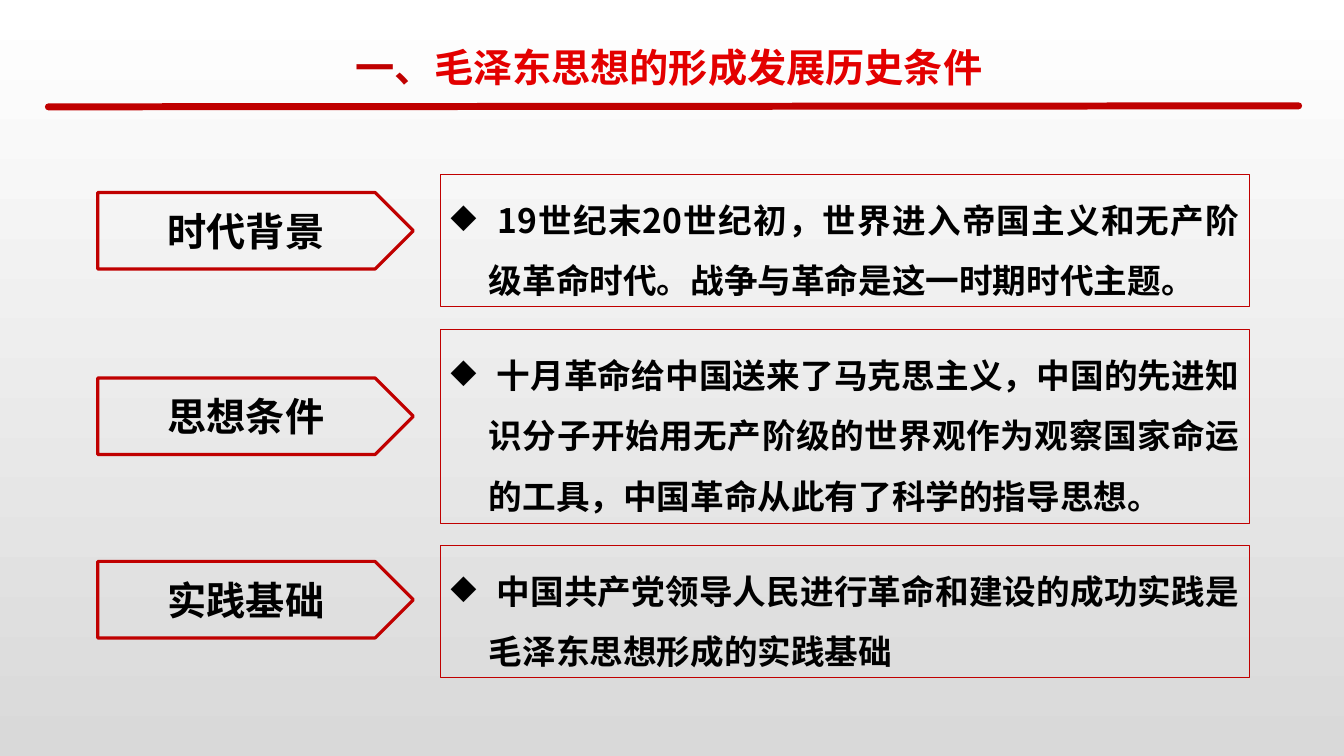
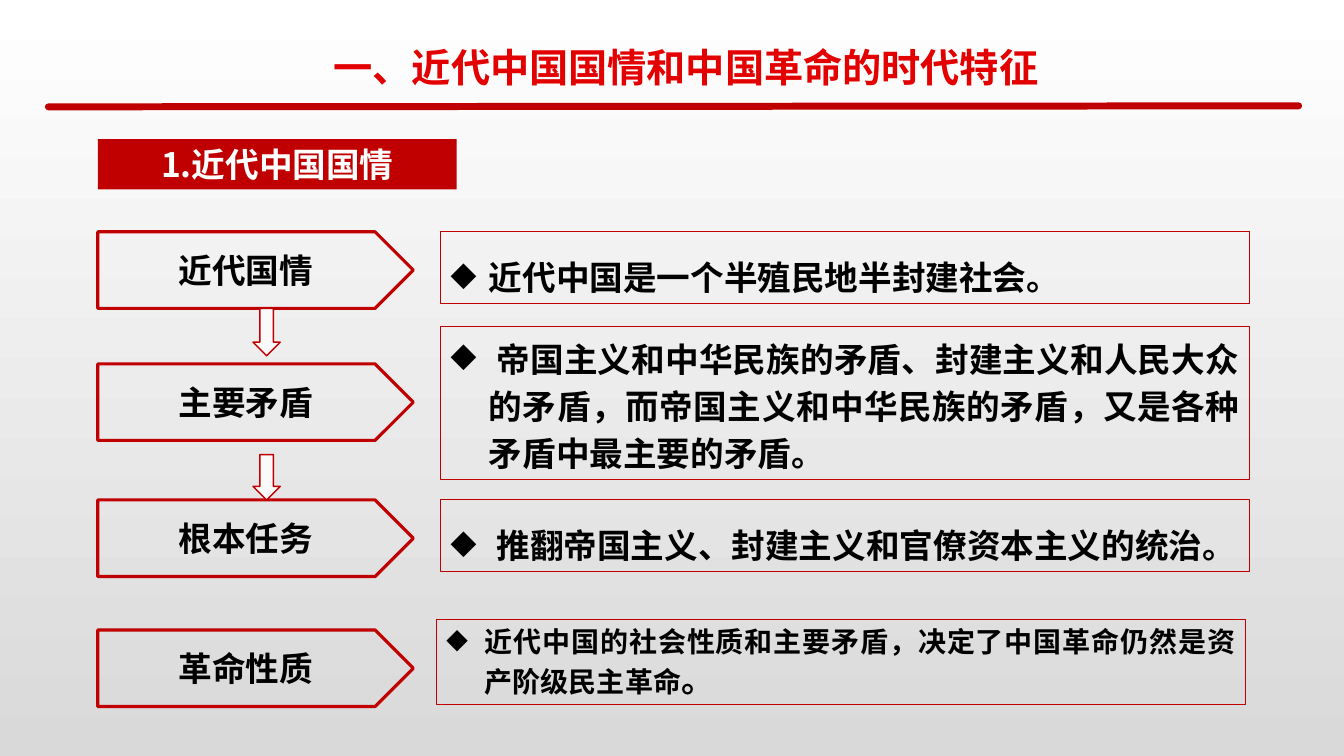
from lxml import etree
from pptx import Presentation
from pptx.dml.color import RGBColor
from pptx.enum.shapes import MSO_CONNECTOR, MSO_SHAPE
from pptx.enum.text import MSO_ANCHOR, PP_ALIGN
from pptx.oxml.ns import qn
from pptx.util import Inches, Pt

RECTANGLE, PENTAGON, DOWN_ARROW = MSO_SHAPE.RECTANGLE, MSO_SHAPE.PENTAGON, MSO_SHAPE.DOWN_ARROW
STRAIGHT = MSO_CONNECTOR.STRAIGHT
TOP, MIDDLE = MSO_ANCHOR.TOP, MSO_ANCHOR.MIDDLE
LEFT, CENTER, JUSTIFY = PP_ALIGN.LEFT, PP_ALIGN.CENTER, PP_ALIGN.JUSTIFY

RED = RGBColor(0xC0, 0x00, 0x00)
TITLE_RED = RGBColor(0xE3, 0x00, 0x00)
BLACK = RGBColor(0x00, 0x00, 0x00)
WHITE = RGBColor(0xFF, 0xFF, 0xFF)
OFF_WHITE = RGBColor(0xFA, 0xFA, 0xFA)
GRAY = RGBColor(0xD9, 0xD9, 0xD9)
FONT = "Noto Sans CJK SC"

LABEL_LEFT, LABEL_WIDTH, LABEL_HEIGHT = 0.97, 3.13, 0.76
DETAIL_LEFT, DETAIL_WIDTH = 4.37, 8.02
HANG = Inches(0.38)


def write(shape, runs, align, anchor):
    frame = shape.text_frame
    frame.word_wrap = True
    frame.vertical_anchor = anchor
    paragraph = frame.paragraphs[0]
    paragraph.alignment = align
    for text, size, color in runs:
        run = paragraph.add_run()
        run.text = text
        run.font.size = Pt(size)
        run.font.bold = True
        run.font.name = FONT
        run.font.color.rgb = color
        etree.SubElement(run.font._element, qn("a:ea"), typeface=FONT)
    return paragraph


def add_panel(slide, preset, left, top, width, height, fill=None, line_width=None):
    panel = slide.shapes.add_shape(preset, Inches(left), Inches(top), Inches(width), Inches(height))
    panel.shadow.inherit = False
    if fill is None:
        panel.fill.background()
    else:
        panel.fill.solid()
        panel.fill.fore_color.rgb = fill
    if line_width is None:
        panel.line.fill.background()
    else:
        panel.line.color.rgb = RED
        panel.line.width = Pt(line_width)
    return panel


prs = Presentation()
prs.slide_width, prs.slide_height = Inches(13.33), Inches(7.5)
backdrop = prs.slide_master.background.fill
backdrop.gradient()
backdrop.gradient_angle = 270
for stop, color in zip(backdrop.gradient_stops, (WHITE, GRAY)):
    stop.color.rgb = color

pages = [
    {
        "title": [("一、", 28, RED), ("毛泽东思想的形成发展历史条件", 28, TITLE_RED)],
        "title_left": 3.43,
        "title_width": 6.77,
        "label_size": 28,
        "rows": [
            ("时代背景", 1.91, 0, 1.73, 1.31, 1.5,
             [(" 19世纪末20世纪初，世界进入帝国主义和无产阶级革命时代。战争与革命是这一时期时代主题。", 24, BLACK)]),
            ("思想条件", 3.75, 0, 3.27, 1.92, 1.5,
             [(" 十月革命给中国送来了马克思主义，中国的先进知识分子开始用无产阶级的世界观作为观察国家命运的工具，"
               "中国革命从此有了科学的指导思想。", 24, BLACK)]),
            ("实践基础", 5.57, 0, 5.41, 1.31, 1.5,
             [(" 中国共产党领导人民进行革命和建设的成功实践是毛泽东思想形成的实践基础", 24, BLACK)]),
        ],
        "heading": None,
        "arrows": [],
    },
    {
        "title": [("一、近代中国国情和中国革命的时代特征", 28, TITLE_RED)],
        "title_left": 3.21,
        "title_width": 7.68,
        "label_size": 24,
        "rows": [
            ("近代国情", 2.3, 0, 2.3, 0.71, 1.5,
             [("近代中国是一个半殖民地半封建社会。", 24, BLACK)]),
            ("主要矛盾", 3.61, 0, 3.24, 1.52, Pt(33.8),
             [(" 帝国主义和中华民族的矛盾、封建主义和人民大众的矛盾，而帝国主义和中华民族的矛盾，"
               "又是各种矛盾中最主要的矛盾。", 24, BLACK)]),
            ("根本任务", 4.96, 0, 4.96, 0.71, 1.5,
             [(" 推翻帝国主义、封建主义和官僚资本主义的统治。", 24, BLACK)]),
            ("革命性质", 6.25, -0.04, 6.15, 0.84, 1.0,
             [("近代中国的社会性质和主要矛盾，决定了中国革命仍然是资产阶级民主革命", 20, BLACK),
              ("。", 24, BLACK)]),
        ],
        "heading": "1.近代中国国情",
        "arrows": [(3.06, 0.47), (4.51, 0.45)],
    },
]

for page in pages:
    slide = prs.slides.add_slide(prs.slide_layouts[6])

    rule = slide.shapes.add_connector(STRAIGHT, Inches(0.48), Inches(1.06), Inches(12.88), Inches(1.05))
    rule.line.color.rgb = RED
    rule.line.width = Pt(5)
    rule.line._get_or_add_ln().set("cap", "rnd")
    etree.SubElement(rule._element.spPr, qn("a:effectLst"))

    title = slide.shapes.add_textbox(Inches(page["title_left"]), Inches(0.38),
                                     Inches(page["title_width"]), Inches(0.57))
    write(title, page["title"], LEFT, TOP)

    if page["heading"]:
        heading = add_panel(slide, RECTANGLE, LABEL_LEFT, 1.38, 3.56, 0.5, fill=RED)
        write(heading, [(page["heading"], 24, WHITE)], CENTER, TOP)

    for name, label_top, shift, detail_top, detail_height, spacing, runs in page["rows"]:
        detail = add_panel(slide, RECTANGLE, DETAIL_LEFT + shift, detail_top,
                           DETAIL_WIDTH, detail_height, line_width=0.75)
        paragraph = write(detail, runs, JUSTIFY, TOP)
        properties = paragraph._p.get_or_add_pPr()
        properties.set("marL", str(HANG))
        properties.set("indent", str(-HANG))
        etree.SubElement(properties, qn("a:buChar"), char="◆")
        paragraph.line_spacing = spacing

        label = add_panel(slide, PENTAGON, LABEL_LEFT, label_top, LABEL_WIDTH, LABEL_HEIGHT, line_width=2.25)
        write(label, [(name, page["label_size"], BLACK)], CENTER, MIDDLE)

    for arrow_top, arrow_height in page["arrows"]:
        add_panel(slide, DOWN_ARROW, 2.51, arrow_top, 0.27, arrow_height, fill=OFF_WHITE, line_width=1)

prs.save("out.pptx")
